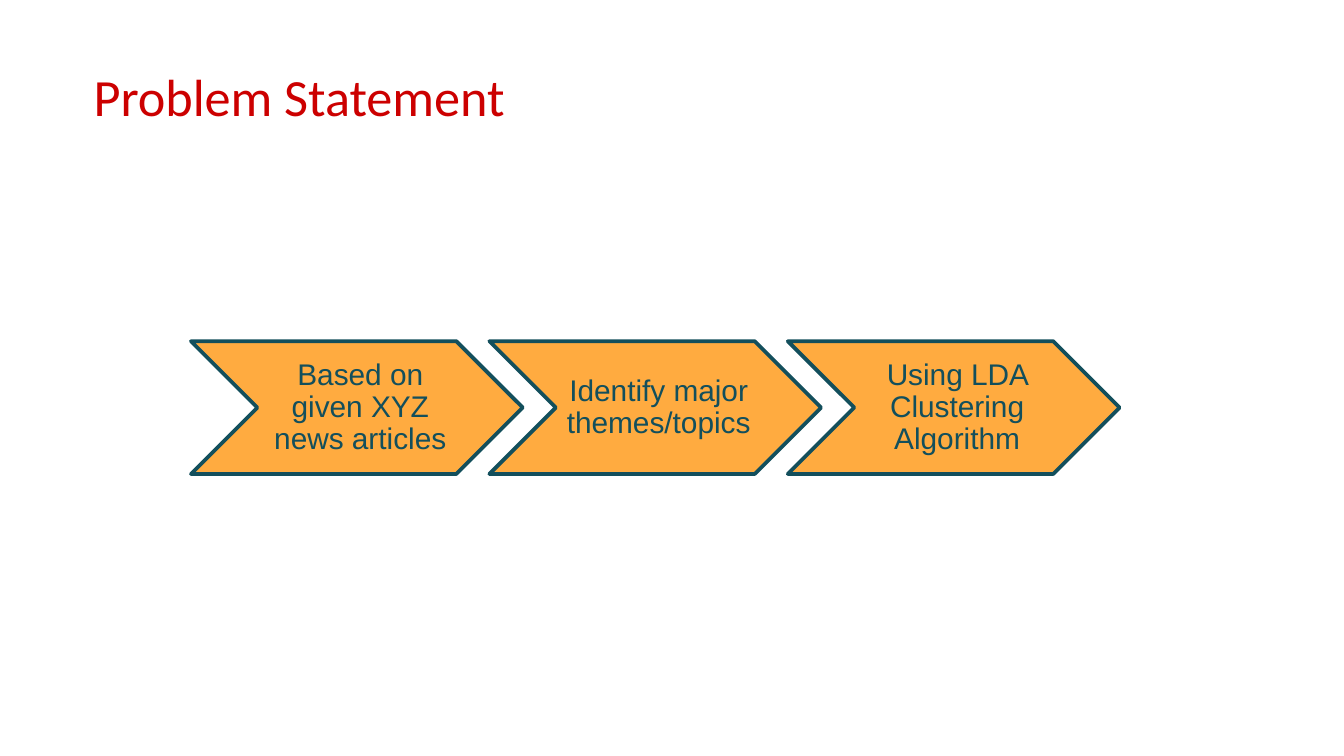
from pptx import Presentation
from pptx import util as u
from pptx.dml import color
from pptx.enum import shapes, text


def rgb(hex_code):
    return color.RGBColor.from_string(hex_code)


def style(paragraph, font_name, size, hex_code):
    for run in paragraph.runs:
        run.font.name = font_name
        run.font.size = u.Pt(size)
        run.font.color.rgb = rgb(hex_code)


deck = Presentation()
deck.slide_width = u.Cm(25.4)
deck.slide_height = u.Cm(14.29)
slide = deck.slides.add_slide(deck.slide_layouts[6])

heading = slide.shapes.add_textbox(u.Cm(1.52), u.Cm(1.09), u.Cm(23.27), u.Cm(2.06))
heading.text_frame.word_wrap = True
heading.text_frame.text = "Problem Statement"
style(heading.text_frame.paragraphs[0], "Calibri", 28, "CC0000")

steps = [
    "Based on given XYZ news articles",
    "Identify major themes/topics",
    "Using LDA Clustering Algorithm",
]
left, top, width, height = 3.61, 6.45, 6.27, 2.51
pitch = 5.64
tip = height / 2

process = slide.shapes.add_group_shape()
for index, step in enumerate(steps):
    x = left + index * pitch
    arrow = process.shapes.add_shape(
        shapes.MSO_SHAPE.CHEVRON, u.Cm(x), u.Cm(top), u.Cm(width), u.Cm(height))
    arrow.shadow.inherit = False
    arrow.fill.solid()
    arrow.fill.fore_color.rgb = rgb("FFAB40")
    arrow.line.color.rgb = rgb("134F5C")
    arrow.line.width = u.Pt(2)

    label = process.shapes.add_textbox(
        u.Cm(x + tip), u.Cm(top), u.Cm(width - 2 * tip), u.Cm(height))
    frame = label.text_frame
    frame.word_wrap = True
    frame.vertical_anchor = text.MSO_ANCHOR.MIDDLE
    frame.margin_left = u.Cm(0.18)
    frame.margin_top = frame.margin_right = frame.margin_bottom = u.Cm(0.05)
    frame.text = step
    paragraph = frame.paragraphs[0]
    paragraph.alignment = text.PP_ALIGN.CENTER
    paragraph.line_spacing = 0.9
    style(paragraph, "Arial", 16, "134F5C")

deck.save("out.pptx")
